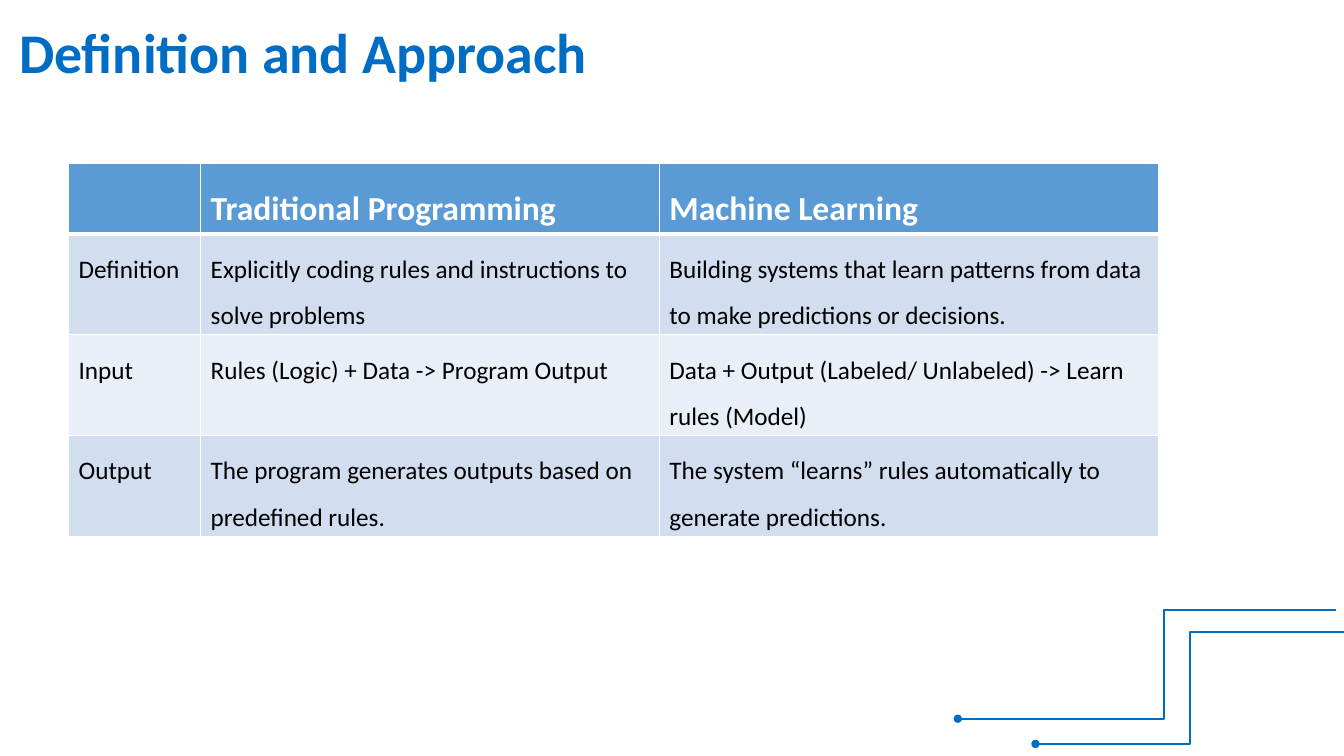
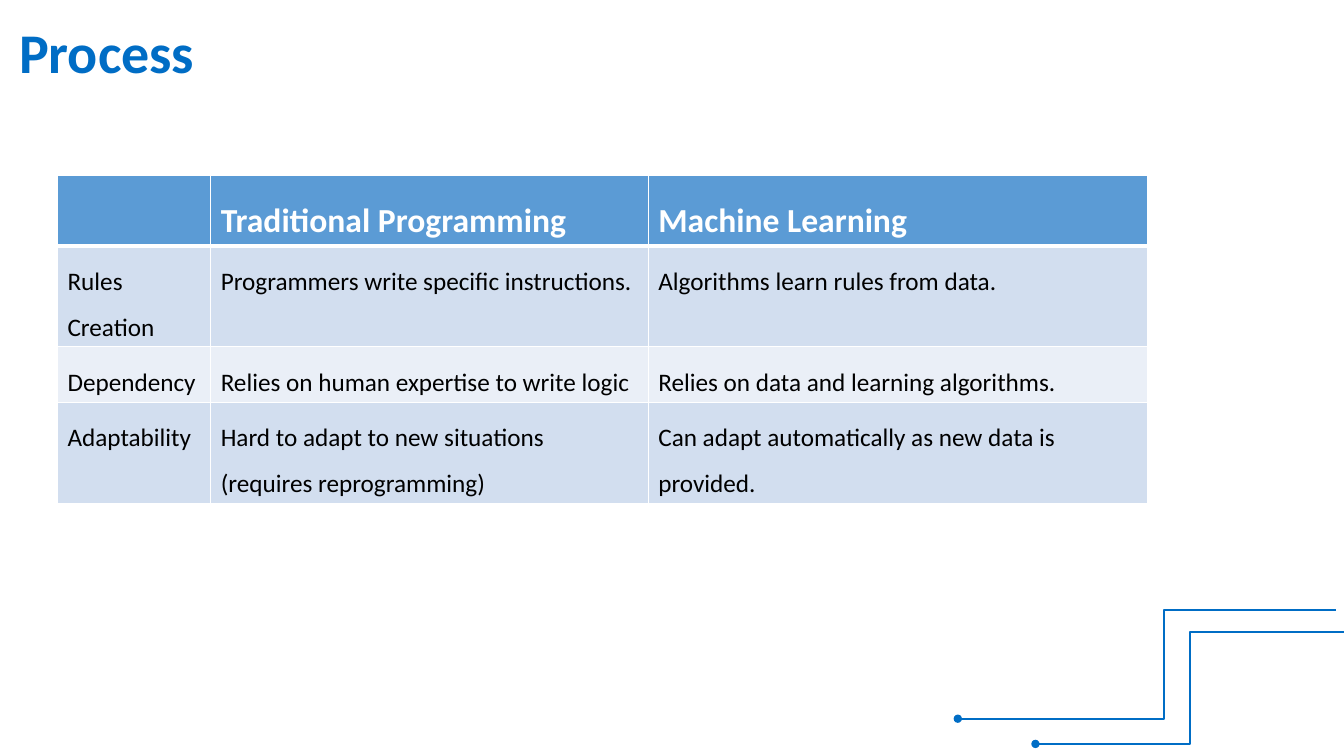
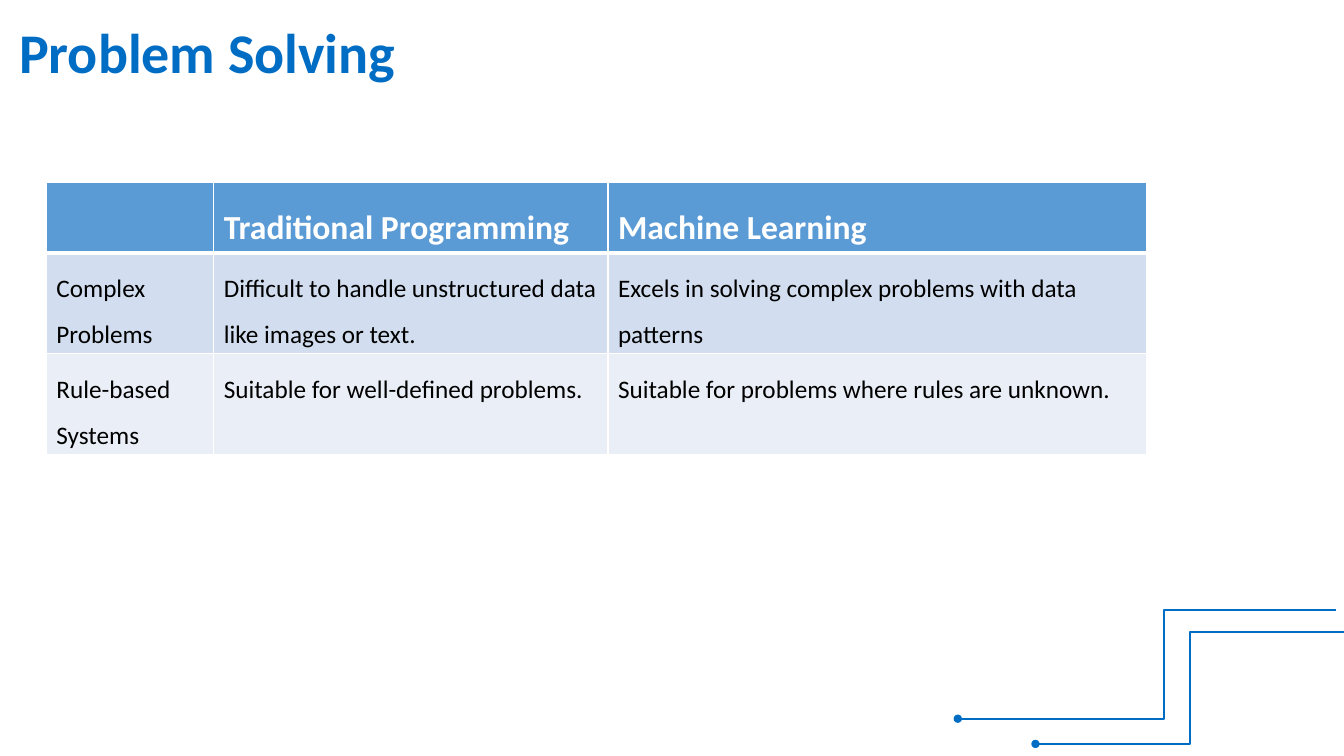
from lxml import etree
from pptx import Presentation
from pptx.dml.color import RGBColor
from pptx.enum.shapes import MSO_CONNECTOR
from pptx.enum.text import MSO_AUTO_SIZE
from pptx.oxml.ns import qn
from pptx.util import Inches, Pt

BLUE = RGBColor(0x00, 0x6D, 0xC5)
HEAD = RGBColor(0x5B, 0x9B, 0xD5)
BANDS = [RGBColor(0xEA, 0xEF, 0xF7), RGBColor(0xD2, 0xDE, 0xEF)]
WHITE = RGBColor(0xFF, 0xFF, 0xFF)
BLACK = RGBColor(0x00, 0x00, 0x00)
FONT = "Calibri"

HEADER = ["", "Traditional Programming", "Machine Learning"]

# Start point, end point and bend position of each corner line
TRACKS = [
    (13.25, 6.05, 9.5, 7.13, 45500),
    (13.33, 6.27, 10.27, 7.38, 50000),
]

# Title, table left and top, column widths, body rows
SLIDES = [
    ("Definition and Approach", 0.68, 1.62, [1.31, 4.55, 4.95], [
        ["Definition",
         "Explicitly coding rules and instructions to solve problems",
         "Building systems that learn patterns from data to make predictions or decisions."],
        ["Input",
         "Rules (Logic) + Data -> Program Output",
         "Data + Output (Labeled/ Unlabeled) -> Learn rules (Model)"],
        ["Output",
         "The program generates outputs based on predefined rules.",
         "The system “learns” rules automatically to generate predictions."],
    ]),
    ("Process", 0.57, 1.74, [1.52, 4.34, 4.95], [
        ["Rules Creation",
         "Programmers write specific instructions.",
         "Algorithms learn rules from data."],
        ["Dependency",
         "Relies on human expertise to write logic",
         "Relies on data and learning algorithms."],
        ["Adaptability",
         "Hard to adapt to new situations (requires reprogramming)",
         "Can adapt automatically as new data is provided."],
    ]),
    ("Problem Solving", 0.46, 1.81, [1.66, 3.91, 5.34], [
        ["Complex Problems",
         "Difficult to handle unstructured data like images or text.",
         "Excels in solving complex problems with data patterns"],
        ["Rule-based Systems",
         "Suitable for well-defined problems.",
         "Suitable for problems where rules are unknown."],
    ]),
]


def add_run(para, text, size, color, bold):
    run = para.add_run()
    run.text = text
    run.font.name = FONT
    run.font.size = Pt(size)
    run.font.bold = bold
    run.font.color.rgb = color


def add_edge(cell, side, width):
    """Give one side of a cell a white border; call before setting the fill."""
    props = cell._tc.get_or_add_tcPr()
    edge = etree.SubElement(props, qn(f"a:ln{side}"), w=str(Pt(width)))
    fill = etree.SubElement(edge, qn("a:solidFill"))
    etree.SubElement(fill, qn("a:srgbClr"), val=str(WHITE))


prs = Presentation()
prs.slide_width = Inches(13.33)
prs.slide_height = Inches(7.5)

for title, left, top, widths, body in SLIDES:
    slide = prs.slides.add_slide(prs.slide_layouts[6])

    box = slide.shapes.add_textbox(Inches(0.09), Inches(0.12), Inches(10.92), Inches(0.77))
    frame = box.text_frame
    frame.word_wrap = True
    frame.auto_size = MSO_AUTO_SIZE.SHAPE_TO_FIT_TEXT
    add_run(frame.paragraphs[0], title, 40, BLUE, True)

    for *ends, bend in TRACKS:
        track = slide.shapes.add_connector(MSO_CONNECTOR.ELBOW, *map(Inches, ends))
        track.line.color.rgb = BLUE
        track.line.width = Pt(1.5)
        etree.SubElement(track.line._get_or_add_ln(), qn("a:tailEnd"), type="oval")
        props = track._element.spPr
        etree.SubElement(props, qn("a:effectLst"))
        guides = props.find(qn("a:prstGeom")).get_or_add_avLst()
        etree.SubElement(guides, qn("a:gd"), name="adj1", fmla=f"val {bend}")

    rows = [HEADER] + body
    table = slide.shapes.add_table(
        len(rows), len(widths), Inches(left), Inches(top),
        Inches(sum(widths)), Inches(0.41 * len(rows))).table
    for col, width in zip(table.columns, widths):
        col.width = Inches(width)

    for r, row in enumerate(rows):
        for c, text in enumerate(row):
            cell = table.cell(r, c)
            add_edge(cell, "L", 1)
            add_edge(cell, "R", 1)
            add_edge(cell, "T", 3 if r == 1 else 1)
            add_edge(cell, "B", 3 if r == 0 else 1)
            cell.fill.solid()
            cell.fill.fore_color.rgb = BANDS[r % 2] if r else HEAD
            if text:
                para = cell.text_frame.paragraphs[0]
                para.line_spacing = 1.5
                if r:
                    add_run(para, text, 18, BLACK, False)
                else:
                    add_run(para, text, 24, WHITE, True)

prs.save("out.pptx")
